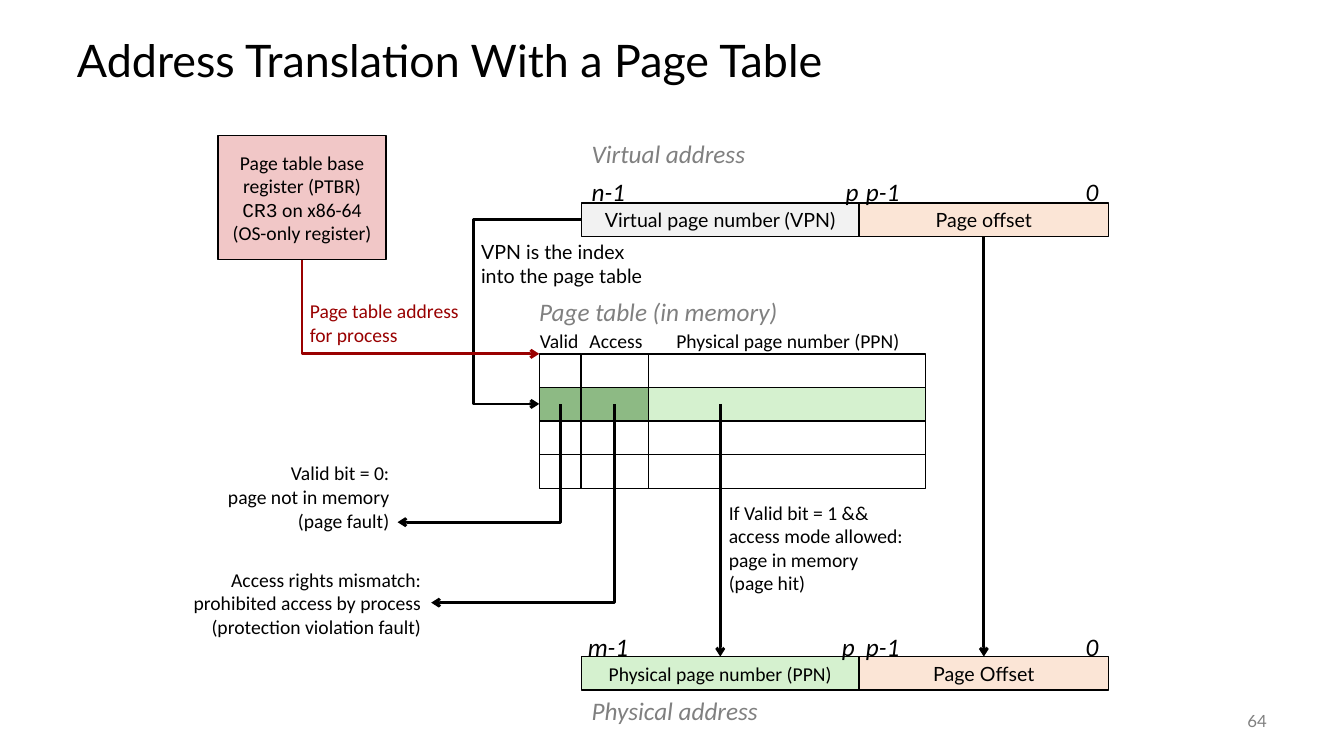
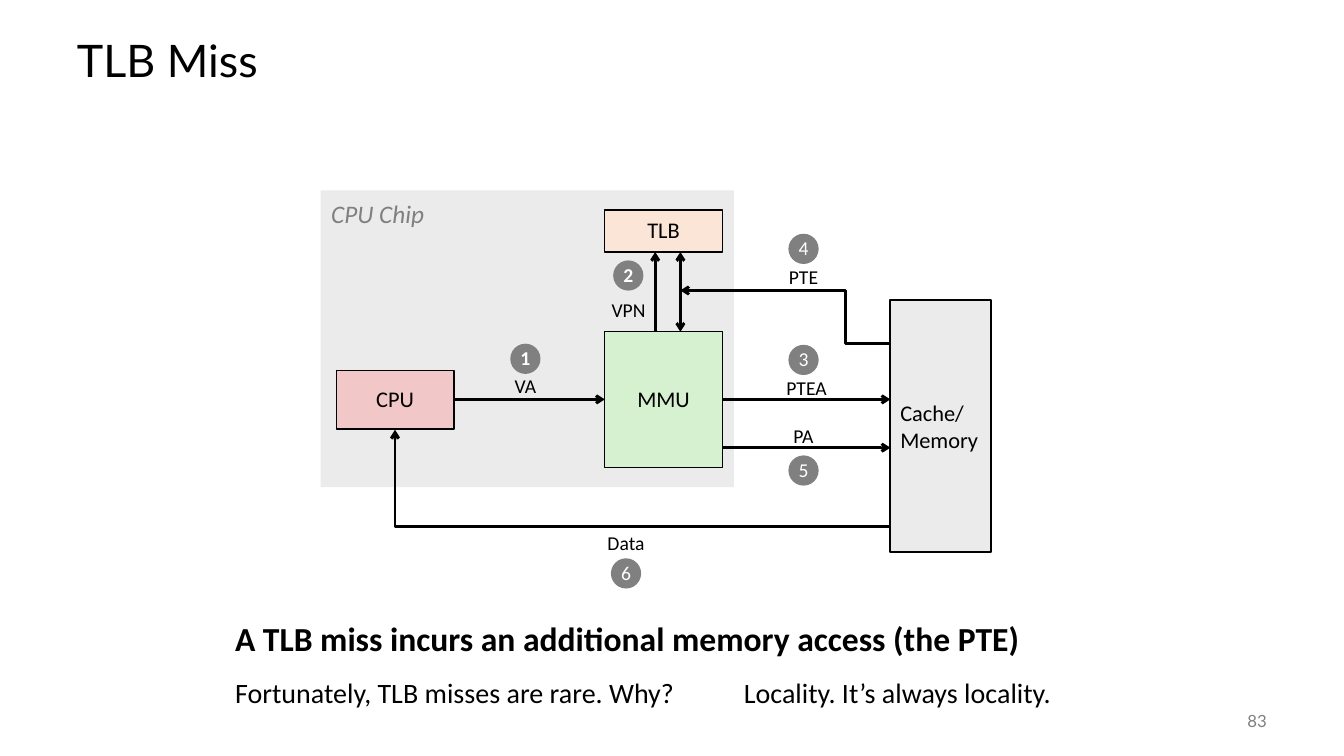
"""Build two slides on address translation and TLB misses."""
from lxml import etree
from pptx import Presentation
from pptx.dml.color import RGBColor
from pptx.enum.shapes import MSO_CONNECTOR, MSO_SHAPE
from pptx.enum.text import MSO_ANCHOR, PP_ALIGN
from pptx.oxml.ns import qn
from pptx.util import Pt

LEFT, CENTER, RIGHT = PP_ALIGN.LEFT, PP_ALIGN.CENTER, PP_ALIGN.RIGHT
TOP, MIDDLE = MSO_ANCHOR.TOP, MSO_ANCHOR.MIDDLE
RECT, OVAL = MSO_SHAPE.RECTANGLE, MSO_SHAPE.OVAL
STRAIGHT, ELBOW = MSO_CONNECTOR.STRAIGHT, MSO_CONNECTOR.ELBOW

BLACK = RGBColor(0x00, 0x00, 0x00)
WHITE = RGBColor(0xFF, 0xFF, 0xFF)
GRAY = RGBColor(0x80, 0x80, 0x80)
PALE_GRAY = RGBColor(0xF2, 0xF2, 0xF2)
CHIP_GRAY = RGBColor(0xEB, 0xEB, 0xEB)
PEACH = RGBColor(0xFB, 0xE5, 0xD6)
PINK = RGBColor(0xF1, 0xC7, 0xC7)
GREEN = RGBColor(0xD5, 0xF1, 0xCF)
DARK_GREEN = RGBColor(0x8D, 0xBA, 0x84)
RED = RGBColor(0x99, 0x00, 0x00)

HEAD_FONT, BODY_FONT, CODE_FONT = "Lato", "Calibri", "Courier New"


def add_box(s, x, y, w, h, text="", size=14, font=BODY_FONT, color=BLACK, fill=None, line=1,
            kind=RECT, align=None, anchor=None, bold=False, italic=False, wrap=False, spacing=None):
    """Add a filled, centred shape, or a plain text box when there is no fill."""
    if fill is None:
        sp = s.shapes.add_textbox(Pt(x), Pt(y), Pt(w), Pt(h))
    else:
        sp = s.shapes.add_shape(kind, Pt(x), Pt(y), Pt(w), Pt(h))
        sp.shadow.inherit = False
        sp.fill.solid()
        sp.fill.fore_color.rgb = fill
        if line:
            sp.line.color.rgb = BLACK
            sp.line.width = Pt(line)
        else:
            sp.line.fill.background()
    if not text:
        return sp
    tf = sp.text_frame
    tf.word_wrap = wrap
    tf.vertical_anchor = anchor or (TOP if fill is None else MIDDLE)
    tf.text = text
    for p in tf.paragraphs:
        p.alignment = align or (LEFT if fill is None else CENTER)
        p.line_spacing = spacing
        for r in p.runs:
            r.font.name, r.font.size = font, Pt(size)
            r.font.bold, r.font.italic = bold, italic
            r.font.color.rgb = color
    return sp


def add_arrow(s, *points, color=BLACK, both=False):
    """Add an arrow through two, three or four points with right-angled bends."""
    ends = ["tailEnd"]
    if len(points) == 3 and points[0][0] == points[1][0]:
        points, ends = points[::-1], ["headEnd"]
    if both:
        ends = ["headEnd", "tailEnd"]
    (x1, y1), (x2, y2) = points[0], points[-1]
    kind = STRAIGHT if len(points) == 2 else ELBOW
    c = s.shapes.add_connector(kind, Pt(x1), Pt(y1), Pt(x2), Pt(y2))
    c.line.color.rgb = color
    c.line.width = Pt(2)
    sppr = c._element.spPr
    geom = sppr.find(qn("a:prstGeom"))
    if len(points) == 3:
        geom.set("prst", "bentConnector2")
    elif len(points) == 4:
        bend = round((points[1][0] - x1) / (x2 - x1) * 100000)
        etree.SubElement(geom.find(qn("a:avLst")), qn("a:gd"), name="adj1", fmla=f"val {bend}")
    for end in ends:
        etree.SubElement(sppr.find(qn("a:ln")), qn(f"a:{end}"), type="arrow")
    etree.SubElement(sppr, qn("a:effectLst"))


prs = Presentation()
prs.slide_width, prs.slide_height = Pt(960), Pt(540)

slides = []
for title, number in [("Address Translation With a Page Table", "64"), ("TLB Miss", "83")]:
    s = prs.slides.add_slide(prs.slide_layouts[5])
    sp = s.shapes.title
    sp.left, sp.top, sp.width, sp.height = Pt(47.8), Pt(18), Pt(864), Pt(54)
    tf = sp.text_frame
    tf.text = title
    tf.vertical_anchor = MIDDLE
    p = tf.paragraphs[0]
    p.alignment, p.line_spacing = LEFT, 0.9
    r = p.runs[0]
    r.font.name, r.font.size = HEAD_FONT, Pt(32)
    r.font.color.rgb = BLACK
    add_box(s, 840, 500.5, 72, 28.5, number, 12, HEAD_FONT, GRAY, align=RIGHT, anchor=MIDDLE,
            wrap=True)
    slides.append(s)
page_table, tlb_miss = slides

s = page_table
ROW_H = 24
COLS = [(385.2, 30), (415.2, 48), (463.2, 198)]
TABLE_X, TABLE_Y = 385.2, 252.8
PAGE_X, OFFSET_X, ADDRESS_END = 415.5, 613.5, 792
VA_Y, PA_Y = 145, 469
HIT_Y = 288.5

for y, page, page_font, page_fill, offset in [
    (VA_Y, "Virtual page number (VPN)", HEAD_FONT, PALE_GRAY, "Page offset"),
    (PA_Y, "Physical page number (PPN)", BODY_FONT, GREEN, "Page Offset"),
]:
    add_box(s, PAGE_X, y, OFFSET_X - PAGE_X, ROW_H, page, 14, page_font, fill=page_fill)
    add_box(s, OFFSET_X, y, ADDRESS_END - OFFSET_X, ROW_H, offset, 14, HEAD_FONT, fill=PEACH)

for row in range(4):
    for (x, w), hit_fill in zip(COLS, [DARK_GREEN, DARK_GREEN, GREEN]):
        sp = add_box(s, x, TABLE_Y + row * ROW_H, w, ROW_H, fill=hit_fill)
        if row != 1:
            sp.fill.background()

for x, y, w, text in [
    (415.5, 95, 128, "Virtual address"),
    (415.5, 493, 137.5, "Physical address"),
    (378, 208, 219.5, "Page table (in memory)"),
]:
    add_box(s, x, y, w, 29, text, 18, color=GRAY, italic=True, wrap=True)

for x, w, text in [
    (378.5, 44, "Valid"),
    (414, 52.5, "Access"),
    (476, 178.5, "Physical page number (PPN)"),
]:
    add_box(s, x, 231.5, w, 24.5, text)

for y, top_x, top_w, top_bit, p_x in [(122.5, 415.5, 39, "n-1", 597), (447.5, 412.8, 44, "m-1", 594.3)]:
    for x, w, bit in [(top_x, top_w, top_bit), (p_x, 24.5, "p"), (611.5, 39, "p-1"), (768.3, 24, "0")]:
        add_box(s, x, y, w, 29, bit, 18, italic=True)

sp = add_box(s, 155.8, 97, 120, 88.5,
             "Page table base register (PTBR)\nCR3\n(OS-only register)", fill=PINK, wrap=True)
p = sp.text_frame.paragraphs[1]
p.runs[0].font.name = CODE_FONT
r = p.add_run()
r.text = " on x86-64"
r.font.name, r.font.size = BODY_FONT, Pt(14)
r.font.color.rgb = BLACK

add_box(s, 336.5, 168, 137, 41, "VPN is the index\vinto the page table", font=HEAD_FONT)
add_box(s, 214.2, 210, 124.5, 41, "Page table address\nfor process", color=RED)
add_box(s, 152.8, 326, 132.5, 58, "Valid bit = 0:\npage not in memory\n(page fault)", align=RIGHT)
add_box(s, 126, 402, 182, 58,
        "Access rights mismatch:\nprohibited access by process\n(protection violation fault)",
        align=RIGHT)
add_box(s, 513.5, 354, 139.5, 75,
        "If Valid bit = 1 &&\naccess mode allowed:\npage in memory\n(page hit)")

add_arrow(s, (PAGE_X, 157), (338.5, 157), (338.5, HIT_Y), (TABLE_X, HIT_Y))
add_arrow(s, (215.8, 185.5), (215.8, TABLE_Y), (TABLE_X, TABLE_Y), color=RED)
add_arrow(s, (400.5, HIT_Y), (400.5, 373), (284, 373))
add_arrow(s, (439, HIT_Y), (439, 430.5), (308, 430.5))
add_arrow(s, (514.5, HIT_Y), (514.5, PA_Y))
add_arrow(s, (702.75, VA_Y + ROW_H), (702.75, PA_Y))

s = tlb_miss
MID_Y = 285.3
MMU_X, MMU_END, MEMORY_X = 432, 516, 636
TLB_BOTTOM, MMU_Y = 180, 237

add_box(s, 229, 136, 295.2, 212, fill=CHIP_GRAY, line=0)
add_box(s, 229.5, 138, 83.5, 29, "CPU Chip", 18, color=GRAY, italic=True)
for x, y, h, text, fill in [
    (240.2, 264.5, 42, "CPU", PINK),
    (MMU_X, MMU_Y, 97, "MMU", GREEN),
    (MMU_X, 150, 30, "TLB", PEACH),
]:
    add_box(s, x, y, 84, h, text, 16, fill=fill, spacing=0.98)
add_box(s, MEMORY_X, 214.5, 72, 180, "Cache/\nMemory", 16, fill=CHIP_GRAY, line=1.5, align=LEFT)

add_arrow(s, (324.2, MID_Y), (MMU_X, MID_Y))
add_arrow(s, (MMU_END, MID_Y), (MEMORY_X, MID_Y))
add_arrow(s, (MMU_END, 319.8), (MEMORY_X, 319.8))
add_arrow(s, (468, MMU_Y), (468, TLB_BOTTOM))
add_arrow(s, (486, TLB_BOTTOM), (486, MMU_Y), both=True)
add_arrow(s, (MEMORY_X, 245.5), (603.7, 245.5), (603.7, 207.5), (486, 207.5))
add_arrow(s, (MEMORY_X, 376.3), (282.2, 376.3), (282.2, 307))

DOT, LABEL_W = 21.6, 44
steps = [
    ("VA", 375.3, 264, 375.3, 245.5),
    ("VPN", 449, 210, 448.8, 186),
    ("PTEA", 576.2, 265.5, 574, 246.3),
    ("PTE", 574, 186, 574, 167),
    ("PA", 574, 300, 574, 325.3),
    ("Data", 447.2, 376.5, 447.2, 398.8),
]
for n, (label, label_x, label_y, dot_x, dot_y) in enumerate(steps, 1):
    add_box(s, label_x - LABEL_W / 2, label_y, LABEL_W, 24, label, align=CENTER, anchor=MIDDLE,
            spacing=0.98)
    add_box(s, dot_x - DOT / 2, dot_y, DOT, DOT, str(n), color=WHITE, fill=GRAY, line=0,
            kind=OVAL, bold=n <= 2, spacing=0.98)

add_box(s, 160.8, 438, 607, 72, "A TLB miss incurs an additional memory access (the PTE)", 24,
        bold=True, wrap=True)
add_box(s, 160.8, 478.6, 335, 31.5, "Fortunately, TLB misses are rare. Why?", 20)
add_box(s, 524.3, 478.6, 236, 31.5, "Locality. It’s always locality.", 20)

prs.save("out.pptx")
